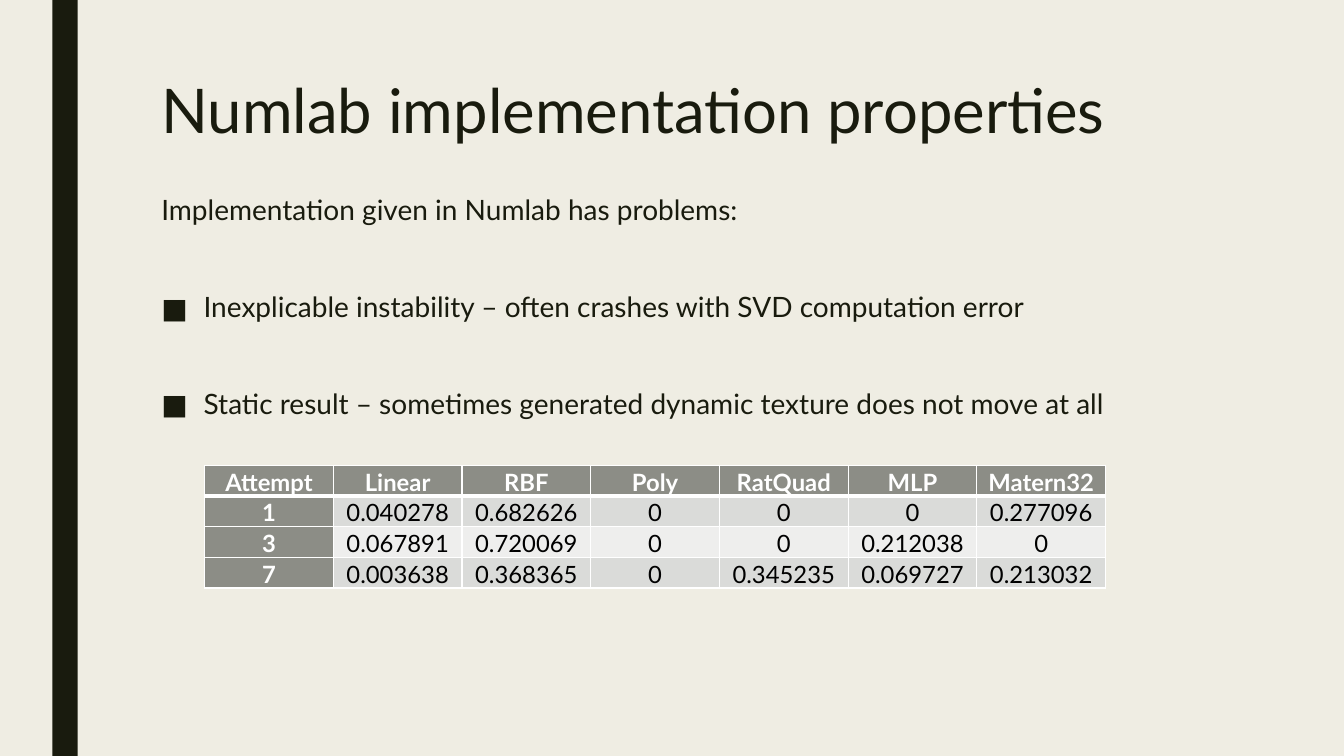
"""Build the slide on properties of the Numlab implementation."""
from lxml import etree
from pptx import Presentation
from pptx.dml.color import RGBColor
from pptx.enum.shapes import MSO_SHAPE
from pptx.enum.text import MSO_ANCHOR, MSO_AUTO_SIZE, PP_ALIGN
from pptx.oxml.ns import qn
from pptx.util import Inches, Pt

RECT = MSO_SHAPE.RECTANGLE
TOP, BOTTOM = MSO_ANCHOR.TOP, MSO_ANCHOR.BOTTOM
LEFT, CENTER = PP_ALIGN.LEFT, PP_ALIGN.CENTER
NO_FIT = MSO_AUTO_SIZE.NONE

FONT = "Lato"
COLORS = {"bg": "EFEDE3", "ink": "191B0E", "head": "8C8D86", "odd": "DADBD9",
          "even": "EEEEED", "white": "FFFFFF", "black": "000000"}
BULLET_INDENT = Inches(0.42)
COL_W, ROW_H = 1.277, 0.3


def color(name):
    return RGBColor.from_string(COLORS[name])


def write(p, text, size, ink, align, spacing, bold=False):
    r = p.add_run()
    r.text = text
    p.alignment, p.line_spacing = align, spacing
    fmt = {"name": FONT, "size": Pt(size), "bold": bold}
    for key, value in fmt.items():
        setattr(r.font, key, value)
    r.font.color.rgb = color(ink)


prs = Presentation()
prs.slide_width, prs.slide_height = Inches(13.333), Inches(7.5)
s = prs.slides.add_slide(prs.slide_layouts[1])
s.background.fill.solid()
s.background.fill.fore_color.rgb = color("bg")

bar = s.shapes.add_shape(RECT, Inches(0.52), 0, Inches(0.25), prs.slide_height)
bar.shadow.inherit = False
bar.fill.solid()
bar.fill.fore_color.rgb = color("ink")
bar.line.fill.background()

title, body = s.shapes.title, s.placeholders[1]
for sp, top, height in ((title, 0.75, 1.62), (body, 1.89, 4.53)):
    sp.left, sp.top = Inches(1.5), Inches(top)
    sp.width, sp.height = Inches(10.5), Inches(height)
    tf = sp.text_frame
    tf.word_wrap, tf.auto_size, tf.vertical_anchor = True, NO_FIT, TOP

write(title.text_frame.paragraphs[0], "Numlab implementation properties",
      44, "ink", LEFT, 0.89)

lines = [
    ("Implementation given in Numlab has problems:", False),
    ("Inexplicable instability – often crashes with SVD computation error", True),
    ("Static result – sometimes generated dynamic texture does not move at all", True),
]
tf = body.text_frame
for i, (text, bulleted) in enumerate(lines):
    p = tf.add_paragraph() if i else tf.paragraphs[0]
    write(p, text, 20, "ink", LEFT, 0.94)
    p.space_before, p.space_after = Pt(44.6 if bulleted else 10), Pt(2)
    pPr = p._p.get_or_add_pPr()
    indent = BULLET_INDENT if bulleted else 0
    pPr.set("marL", str(indent))
    pPr.set("indent", str(-indent))
    if bulleted:
        etree.SubElement(pPr, qn("a:buFont"), typeface=FONT)
        etree.SubElement(pPr, qn("a:buChar"), char="■")
    else:
        etree.SubElement(pPr, qn("a:buNone"))

rows = [
    ["Attempt", "Linear", "RBF", "Poly", "RatQuad", "MLP", "Matern32"],
    ["1", "0.040278", "0.682626", "0", "0", "0", "0.277096"],
    ["3", "0.067891", "0.720069", "0", "0", "0.212038", "0"],
    ["7", "0.003638", "0.368365", "0", "0.345235", "0.069727", "0.213032"],
]
n_rows, n_cols = len(rows), len(rows[0])
table = s.shapes.add_table(n_rows, n_cols, Inches(2.03), Inches(4.62),
                           Inches(COL_W * n_cols), Inches(ROW_H * n_rows)).table
for row in table.rows:
    row.height = Inches(ROW_H)
for i, values in enumerate(rows):
    for j, text in enumerate(values):
        cell = table.cell(i, j)
        header = i == 0 or j == 0
        cell.margin_left = cell.margin_right = Inches(0.1)
        cell.margin_top = cell.margin_bottom = 0
        cell.vertical_anchor = BOTTOM if i < 2 and j else TOP
        write(cell.text_frame.paragraphs[0], text, 17,
              "white" if header else "black", CENTER, 1.07, header)
        tcPr = cell._tc.get_or_add_tcPr()
        for side in "LRTB":
            thick = (i == 0 and side == "B") or (i == 1 and side == "T")
            ln = etree.SubElement(tcPr, qn(f"a:ln{side}"), w=str(Pt(3 if thick else 1)))
            fill = etree.SubElement(ln, qn("a:solidFill"))
            etree.SubElement(fill, qn("a:srgbClr"), val=COLORS["white"])
        cell.fill.solid()
        cell.fill.fore_color.rgb = color("head" if header else "odd" if i % 2 else "even")

prs.save("out.pptx")
